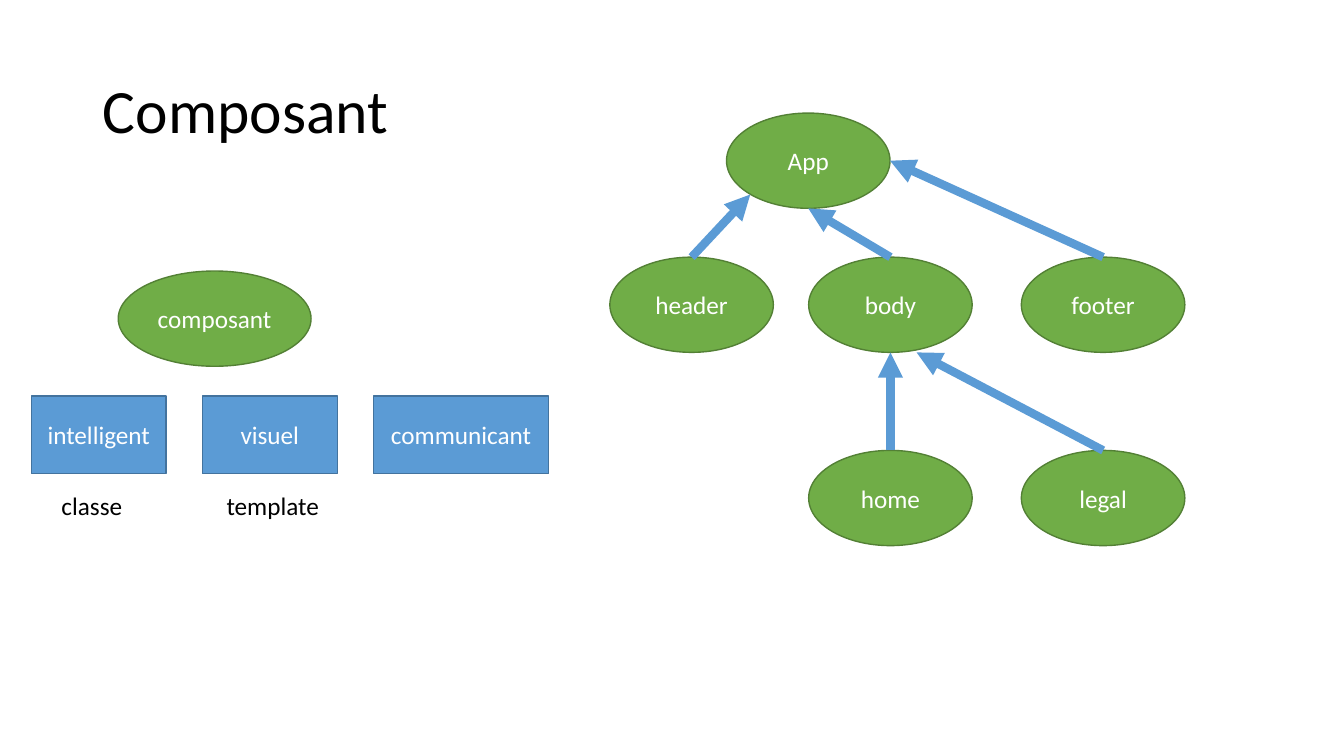
from pptx import Presentation
from pptx.dml.color import RGBColor
from pptx.enum.shapes import MSO_CONNECTOR as Link, MSO_SHAPE as Form
from pptx.enum.text import MSO_ANCHOR as Anchor, MSO_AUTO_SIZE as Fit, PP_ALIGN as Align
from pptx.oxml.ns import qn
from pptx.util import Cm, Pt
from lxml.etree import SubElement

BLACK, WHITE = "000000", "FFFFFF"
GREEN, DARK_GREEN = "70AD47", "538035"
BLUE, DARK_BLUE = "5B9BD5", "43739E"


def color(hex_code):
    """Turn a hex string into a colour."""
    return RGBColor.from_string(hex_code)


class Sketch:
    """Hold the style and the current slide."""

    font_name = "Calibri"
    text_size = 18

    def __init__(self, slide):
        """Keep the slide that is drawn on."""
        self.slide = slide

    def add_words(self, frame, words, ink, align=Align.LEFT, size=text_size):
        """Put one formatted run into a text frame."""
        paragraph = frame.paragraphs[0]
        paragraph.alignment = align
        run = paragraph.add_run()
        run.text = words
        run.font.name = self.font_name
        run.font.size = Pt(size)
        run.font.color.rgb = color(ink)
        return paragraph

    def title(self, words, left, top, width, height):
        """Move and fill the title placeholder."""
        heading = self.slide.shapes.title
        heading.left, heading.top = Cm(left), Cm(top)
        heading.width, heading.height = Cm(width), Cm(height)
        frame = heading.text_frame
        frame.auto_size = Fit.NONE
        frame.vertical_anchor = Anchor.MIDDLE
        self.add_words(frame, words, BLACK, size=44).line_spacing = 0.9

    def node(self, form, words, left, top, width, height, fill, border):
        """Draw a filled shape with a centred white label."""
        node = self.slide.shapes.add_shape(form, Cm(left), Cm(top), Cm(width), Cm(height))
        node.shadow.inherit = False
        node.fill.solid()
        node.fill.fore_color.rgb = color(fill)
        node.line.color.rgb = color(border)
        node.line.width = Pt(1)
        node.text_frame.word_wrap = True
        node.text_frame.vertical_anchor = Anchor.MIDDLE
        self.add_words(node.text_frame, words, WHITE, Align.CENTER)
        return node

    def component(self, words, left, top, width=4.12):
        """Draw a component as a green ellipse."""
        return self.node(Form.OVAL, words, left, top, width, 2.4, GREEN, DARK_GREEN)

    def caption(self, words, left, top, width):
        """Add a one-line text box."""
        box = self.slide.shapes.add_textbox(Cm(left), Cm(top), Cm(width), Cm(1.02))
        box.text_frame.word_wrap = False
        box.text_frame.auto_size = Fit.SHAPE_TO_FIT_TEXT
        self.add_words(box.text_frame, words, BLACK)

    def arrow(self, child, parent, across, down):
        """Link a child's top to a parent, at a share of its half-axes from the centre."""
        end_x = parent.left + round(parent.width * (1 + across) / 2)
        end_y = parent.top + round(parent.height * (1 + down) / 2)
        arrow = self.slide.shapes.add_connector(Link.STRAIGHT, 0, 0, end_x, end_y)
        arrow.begin_connect(child, 0)
        arrow.line.color.rgb = color(BLUE)
        arrow.line.width = Pt(6)
        properties = arrow._element.spPr
        SubElement(properties.find(qn("a:ln")), qn("a:tailEnd"), type="triangle")
        SubElement(properties, qn("a:effectLst"))


deck = Presentation()
deck.slide_width, deck.slide_height = Cm(33.87), Cm(19.05)
sketch = Sketch(deck.slides.add_slide(deck.slide_layouts[5]))
sketch.title("Composant", 2.34, 1.02, 29.21, 3.68)

# Component tree: middle column and right column are shared by two levels
MIDDLE, RIGHT = 20.38, 25.74
SECOND_LEVEL, THIRD_LEVEL = 6.48, 11.35
tree = {
    name: sketch.component(name, left, top)
    for name, left, top in [
        ("App", 18.31, 2.85),
        ("header", 15.37, SECOND_LEVEL),
        ("body", MIDDLE, SECOND_LEVEL),
        ("footer", RIGHT, SECOND_LEVEL),
        ("home", MIDDLE, THIRD_LEVEL),
        ("legal", RIGHT, THIRD_LEVEL),
    ]
}
for child, parent, across, down in [
    ("header", "App", -0.71, 0.71),
    ("body", "App", 0, 1),
    ("footer", "App", 1, 0),
    ("home", "body", 0, 1),
    ("legal", "body", 0.32, 1),
]:
    sketch.arrow(tree[child], tree[parent], across, down)

# A component and its three qualities
sketch.component("composant", 2.98, 6.83, width=4.86)
quality_left, QUALITY_GAP = 0.79, 0.91
for quality, width in [("intelligent", 3.4), ("visuel", 3.4), ("communicant", 4.42)]:
    sketch.node(Form.RECTANGLE, quality, quality_left, 9.98, width, 1.96, BLUE, DARK_BLUE)
    quality_left += width + QUALITY_GAP
for means, left, width in [("classe", 1.3, 2.06), ("template", 5.46, 2.87)]:
    sketch.caption(means, left, 12.22, width)

deck.save("out.pptx")
